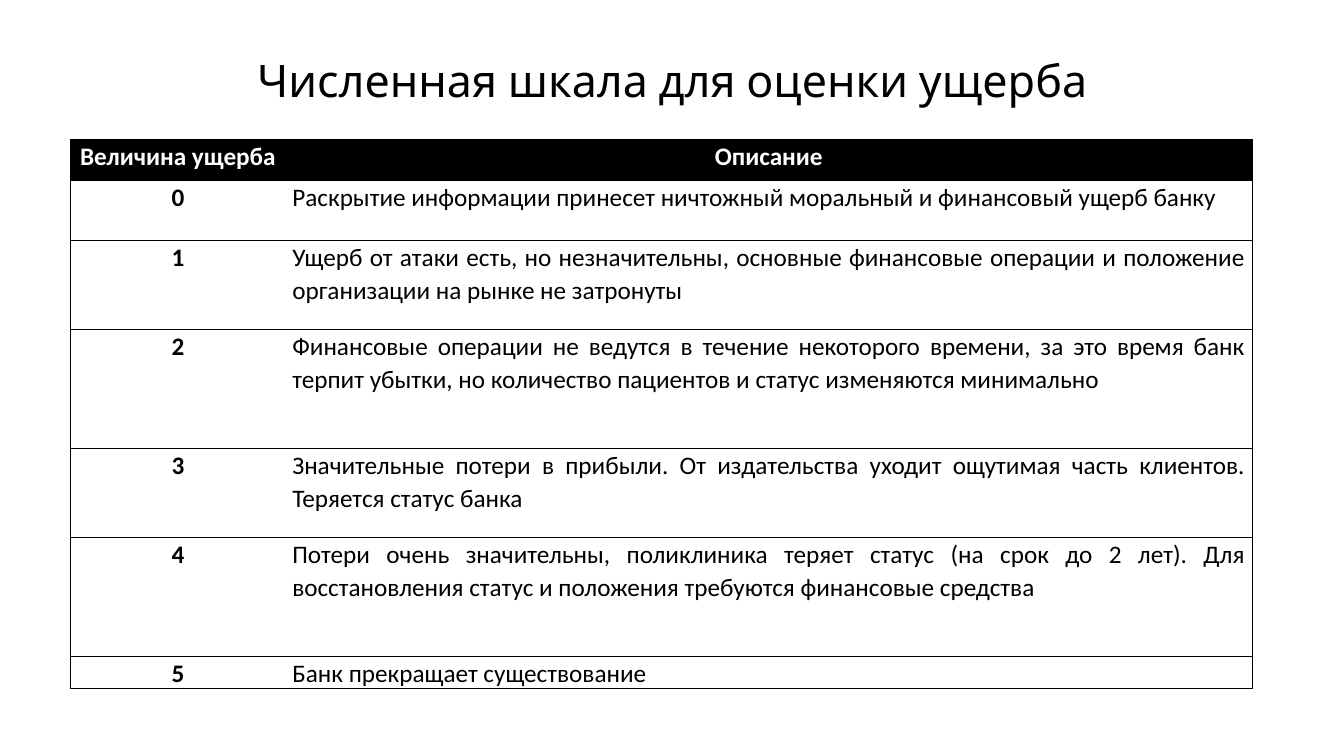
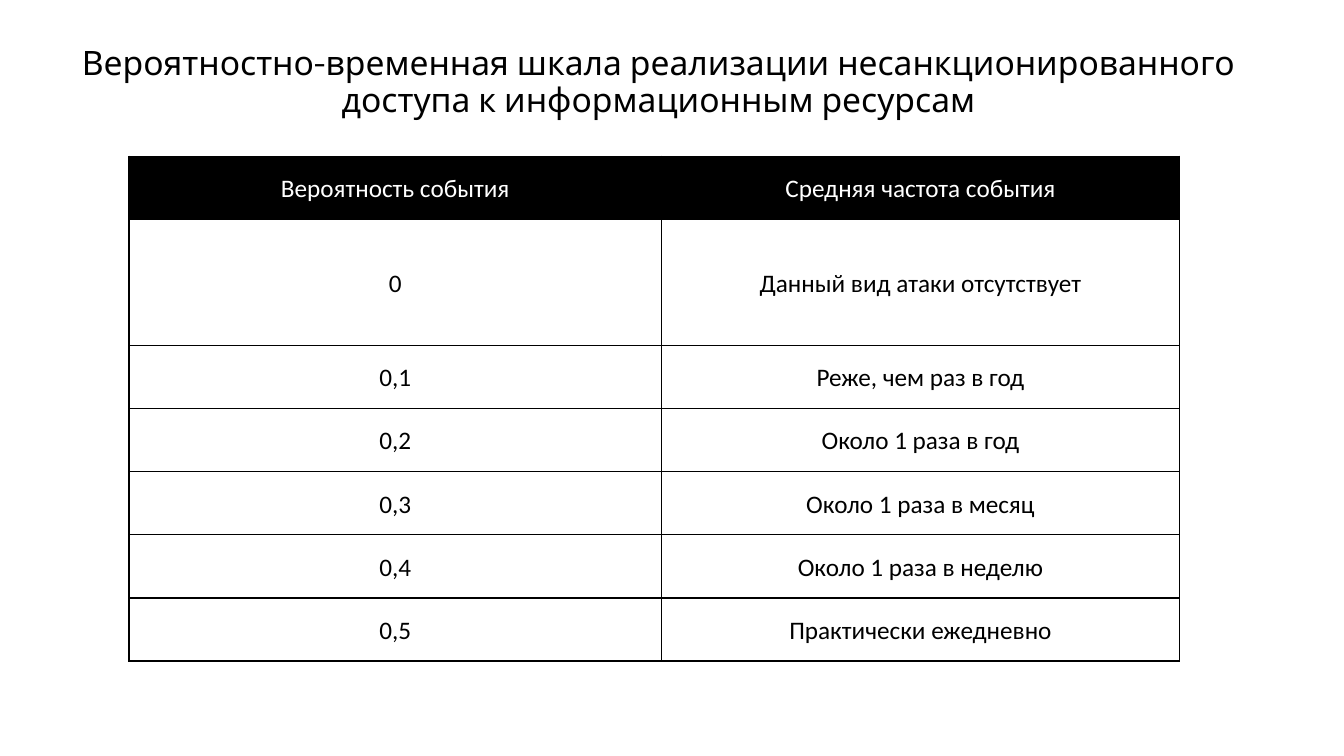
from dataclasses import dataclass

from lxml import etree
from pptx import Presentation
from pptx.dml.color import RGBColor
from pptx.enum.text import MSO_ANCHOR, PP_ALIGN
from pptx.oxml.ns import qn
from pptx.util import Inches, Pt

CENTER, JUSTIFY = PP_ALIGN.CENTER, PP_ALIGN.JUSTIFY
TOP, MIDDLE = MSO_ANCHOR.TOP, MSO_ANCHOR.MIDDLE
BLACK = RGBColor(0x00, 0x00, 0x00)
WHITE = RGBColor(0xFF, 0xFF, 0xFF)
TITLE_FONT, BODY_FONT = "Karla", "Calibri"
BODY_SIZE = 18
TITLE_TOP, TITLE_HEIGHT = 0.1, 1.45
CELL_INSET = 0.07


@dataclass(frozen=True)
class Title:
    text: str
    left: float
    width: float
    size: int


@dataclass(frozen=True)
class Scale:
    left: float
    top: float
    columns: tuple[float, ...]
    row_unit: float
    row_units: tuple[float, ...]
    rows: list[tuple[str, str]]
    anchor: MSO_ANCHOR
    text_align: PP_ALIGN
    bold_keys: bool
    inner_vertical: bool
    border: float


DAMAGE_TITLE = Title("Численная шкала для оценки ущерба", 0.92, 11.5, 32)
DAMAGE = Scale(
    left=0.7, top=1.38, columns=(2.13, 9.59),
    row_unit=0.295, row_units=(1.4, 2, 3, 4, 3, 4, 1),
    rows=[
        ("Величина ущерба", "Описание"),
        ("0", "Раскрытие информации принесет ничтожный моральный и финансовый ущерб банку"),
        ("1", "Ущерб от атаки есть, но незначительны, основные финансовые операции "
              "и положение организации на рынке не затронуты"),
        ("2", "Финансовые операции не ведутся в течение некоторого времени, за это время "
              "банк терпит убытки, но количество пациентов и статус изменяются минимально"),
        ("3", "Значительные потери в прибыли. От издательства уходит ощутимая часть "
              "клиентов. Теряется статус банка"),
        ("4", "Потери очень значительны, поликлиника теряет статус (на срок до 2 лет). "
              "Для восстановления статус и положения требуются финансовые средства"),
        ("5", "Банк прекращает существование"),
    ],
    anchor=TOP, text_align=JUSTIFY, bold_keys=True, inner_vertical=False, border=0.5,
)

FREQUENCY_TITLE = Title(
    "Вероятностно-временная шкала реализации несанкционированного "
    "доступа к информационным ресурсам", 0.37, 12.32, 24)
FREQUENCY = Scale(
    left=1.28, top=1.55, columns=(5.28, 5.14),
    row_unit=0.626, row_units=(1, 2, 1, 1, 1, 1, 1),
    rows=[
        ("Вероятность события", "Средняя частота события"),
        ("0", "Данный вид атаки отсутствует"),
        ("0,1", "Реже, чем раз в год"),
        ("0,2", "Около 1 раза в год"),
        ("0,3", "Около 1 раза в месяц"),
        ("0,4", "Около 1 раза в неделю"),
        ("0,5", "Практически ежедневно"),
    ],
    anchor=MIDDLE, text_align=CENTER, bold_keys=False, inner_vertical=True, border=1,
)


def format_text(tf, font: str, size: int, color: RGBColor, align: PP_ALIGN,
                spacing: float, bold: bool = False) -> None:
    p = tf.paragraphs[0]
    p.alignment, p.line_spacing = align, spacing
    r = p.runs[0]
    r.font.name, r.font.size, r.font.bold = font, Pt(size), bold
    r.font.color.rgb = color


def add_title(s, title: Title) -> None:
    sp = s.shapes.add_textbox(Inches(title.left), Inches(TITLE_TOP),
                              Inches(title.width), Inches(TITLE_HEIGHT))
    tf = sp.text_frame
    tf.word_wrap, tf.vertical_anchor = True, MIDDLE
    tf.text = title.text
    format_text(tf, TITLE_FONT, title.size, BLACK, CENTER, 0.9)


def set_borders(cell, width: float, hidden: str | None) -> None:
    tc_pr = cell._tc.get_or_add_tcPr()
    for i, side in enumerate("LRTB"):
        ln = etree.Element(qn(f"a:ln{side}"), w=str(Pt(width)))
        if side == hidden:
            etree.SubElement(ln, qn("a:noFill"))
        else:
            fill = etree.SubElement(ln, qn("a:solidFill"))
            etree.SubElement(fill, qn("a:srgbClr"), val=str(BLACK))
        tc_pr.insert(i, ln)


def add_scale(s, scale: Scale) -> None:
    heights = [units * scale.row_unit for units in scale.row_units]
    table = s.shapes.add_table(
        len(scale.rows), len(scale.columns), Inches(scale.left), Inches(scale.top),
        Inches(sum(scale.columns)), Inches(sum(heights))).table
    table.first_row = table.horz_banding = False
    for column, width in zip(table.columns, scale.columns):
        column.width = Inches(width)
    for i, (row, height, texts) in enumerate(zip(table.rows, heights, scale.rows)):
        row.height = Inches(height)
        header = i == 0
        for j, (cell, text) in enumerate(zip(row.cells, texts)):
            key = j == 0
            cell.margin_left = cell.margin_right = Inches(CELL_INSET)
            cell.margin_top = cell.margin_bottom = 0
            cell.vertical_anchor = scale.anchor
            cell.fill.solid()
            cell.fill.fore_color.rgb = BLACK if header else WHITE
            hidden = None if scale.inner_vertical else "R" if key else "L"
            set_borders(cell, scale.border, hidden)
            cell.text_frame.text = text
            format_text(cell.text_frame, BODY_FONT, BODY_SIZE,
                        WHITE if header else BLACK,
                        CENTER if header or key else scale.text_align, 1.07,
                        scale.bold_keys and (header or key))


def main() -> None:
    prs = Presentation()
    prs.slide_width, prs.slide_height = Inches(13.33), Inches(7.5)
    for title, scale in ((DAMAGE_TITLE, DAMAGE), (FREQUENCY_TITLE, FREQUENCY)):
        s = prs.slides.add_slide(prs.slide_layouts[6])
        add_title(s, title)
        add_scale(s, scale)
    prs.save("out.pptx")


if __name__ == "__main__":
    main()
